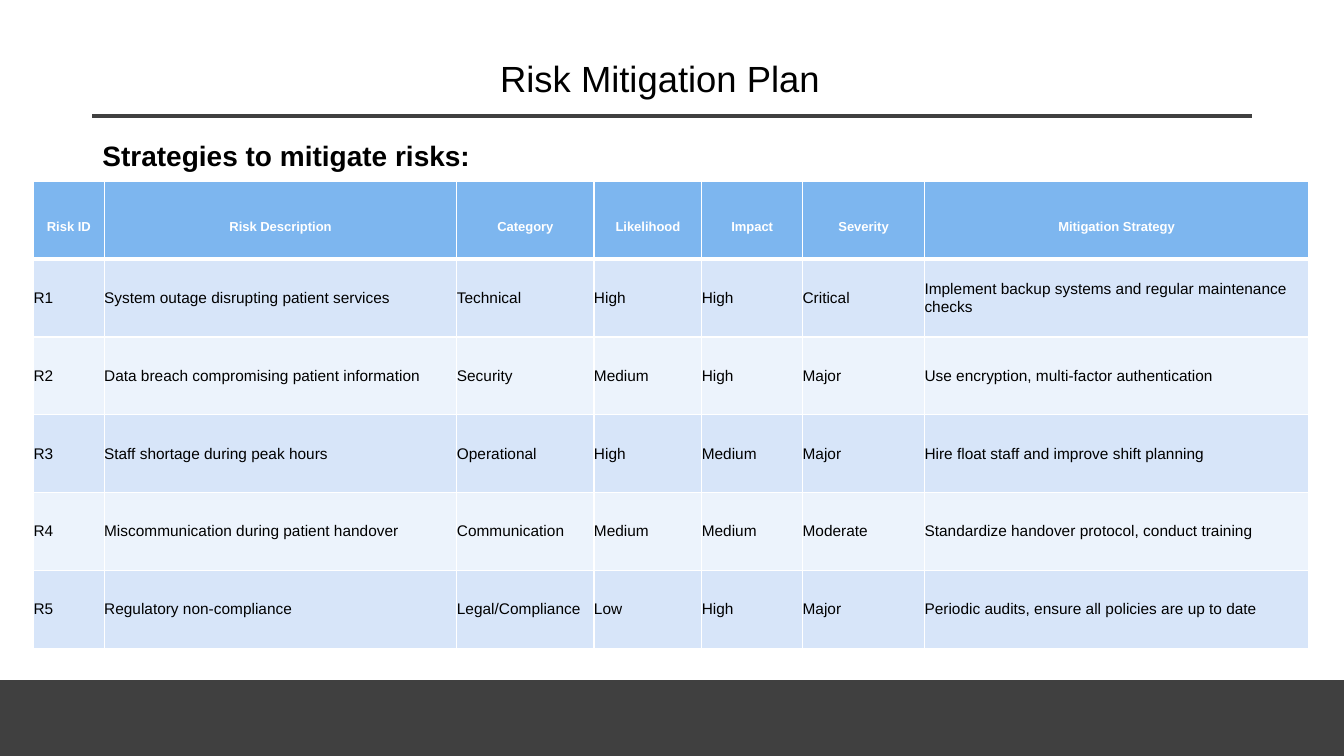
from lxml import etree
from pptx import Presentation
from pptx import util as u
from pptx.dml.color import RGBColor
from pptx.enum import shapes, text
from pptx.oxml import ns

COLS, ROWS = 160, 90
WIDTHS = [8.4, 42, 16.32, 12.84, 12, 14.52, 45.72]
HEAD = ["Risk ID", "Risk Description", "Category", "Likelihood", "Impact",
        "Severity", "Mitigation Strategy"]
RISKS = [
    ["R1", "System outage disrupting patient services", "Technical", "High", "High",
     "Critical", "Implement backup systems and regular maintenance checks"],
    ["R2", "Data breach compromising patient information", "Security", "Medium", "High",
     "Major", "Use encryption, multi-factor authentication"],
    ["R3", "Staff shortage during peak hours", "Operational", "High", "Medium",
     "Major", "Hire float staff and improve shift planning"],
    ["R4", "Miscommunication during patient handover", "Communication", "Medium", "Medium",
     "Moderate", "Standardize handover protocol, conduct training"],
    ["R5", "Regulatory non-compliance", "Legal/Compliance", "Low", "High",
     "Major", "Periodic audits, ensure all policies are up to date"],
]


def rgb(code):
    return RGBColor.from_string(code)


def apply(item, form):
    for key, val in form.items():
        setattr(item, key, val)


class Deck:
    font = "Arial"
    dark, ink, white = "404040", "000000", "FFFFFF"
    blue, bands = "7DB6EF", ["D7E5F9", "ECF3FC"]

    def __init__(self):
        self.prs = Presentation()
        apply(self.prs, {"slide_width": u.Inches(13.33), "slide_height": u.Inches(7.5)})
        self.slide = self.prs.slides.add_slide(self.prs.slide_layouts[6])
        self.shapes = self.slide.shapes

    def x(self, cols):
        return u.Emu(round(self.prs.slide_width * cols / COLS))

    def y(self, rows):
        return u.Emu(round(self.prs.slide_height * rows / ROWS))

    def area(self, left, top, wide, high):
        return self.x(left), self.y(top), self.x(wide), self.y(high)

    def bar(self, *area):
        bar = self.shapes.add_shape(shapes.MSO_SHAPE.RECTANGLE, *self.area(*area))
        bar.shadow.inherit = False
        bar.fill.solid()
        bar.fill.fore_color.rgb = bar.line.color.rgb = rgb(self.dark)
        bar.line.width = u.Pt(1)

    def rule(self, left, right, row):
        rule = self.shapes.add_connector(shapes.MSO_CONNECTOR.STRAIGHT, self.x(left),
                                         self.y(row), self.x(right), self.y(row))
        rule.line.color.rgb = rgb(self.dark)
        rule.line.width = u.Pt(3)
        etree.SubElement(rule.element.spPr, ns.qn("a:effectLst"))

    def words(self, frame, words, size, color, bold=False, align="LEFT"):
        para = frame.paragraphs[0]
        para.alignment = text.PP_ALIGN[align]
        run = para.add_run()
        run.text = words
        apply(run.font, {"name": self.font, "size": u.Pt(size), "bold": bold})
        run.font.color.rgb = rgb(color)
        return run

    def label(self, area, words, size, anchor="TOP", **form):
        frame = self.shapes.add_textbox(*self.area(*area)).text_frame
        apply(frame, {"word_wrap": True, "vertical_anchor": text.MSO_ANCHOR[anchor]})
        self.words(frame, words, size, self.ink, **form)

    def edges(self, cell, sides):
        props = cell._tc.get_or_add_tcPr()
        for side, width in sides.items():
            edge = etree.SubElement(props, ns.qn("a:ln" + side), w=str(u.Pt(width)))
            fill = etree.SubElement(edge, ns.qn("a:solidFill"))
            etree.SubElement(fill, ns.qn("a:srgbClr"), val=self.white)

    def cell(self, cell, words, row):
        self.edges(cell, {"L": 1, "R": 1, "T": 3 if row == 1 else 1, "B": 1 if row else 3})
        cell.fill.solid()
        cell.fill.fore_color.rgb = rgb(self.bands[(row - 1) % 2] if row else self.blue)
        cell.vertical_anchor = text.MSO_ANCHOR.MIDDLE
        if row:
            apply(cell, {"margin_" + side: 0 for side in ("left", "top", "right", "bottom")})
            self.words(cell.text_frame, words, 11, self.ink)
        else:
            run = self.words(cell.text_frame, words, 16, self.white, True, "CENTER")
            run._r.get_or_add_rPr().set("baseline", "-25000")

    def table(self, left, top, widths, high, rows):
        area = self.area(left, top, sum(widths), high * len(rows))
        grid = self.shapes.add_table(len(rows), len(widths), *area).table
        for col, wide in zip(grid.columns, widths):
            col.width = self.x(wide)
        for i, row in enumerate(rows):
            grid.rows[i].height = self.y(high)
            for j, words in enumerate(row):
                self.cell(grid.cell(i, j), words, i)


def main():
    deck = Deck()
    deck.bar(0, 81, COLS, 9)
    deck.rule(11, 149, 13.8)
    deck.label((9.6, 4.8, 138, 9), "Risk Mitigation Plan", 26, "MIDDLE", align="CENTER")
    deck.label((11, 15.84, 138, 63.36), "Strategies to mitigate risks:", 20, bold=True)
    deck.table(4, 21.6, WIDTHS, 9.26, [HEAD] + RISKS)
    deck.prs.save("out.pptx")


if __name__ == "__main__":
    main()
